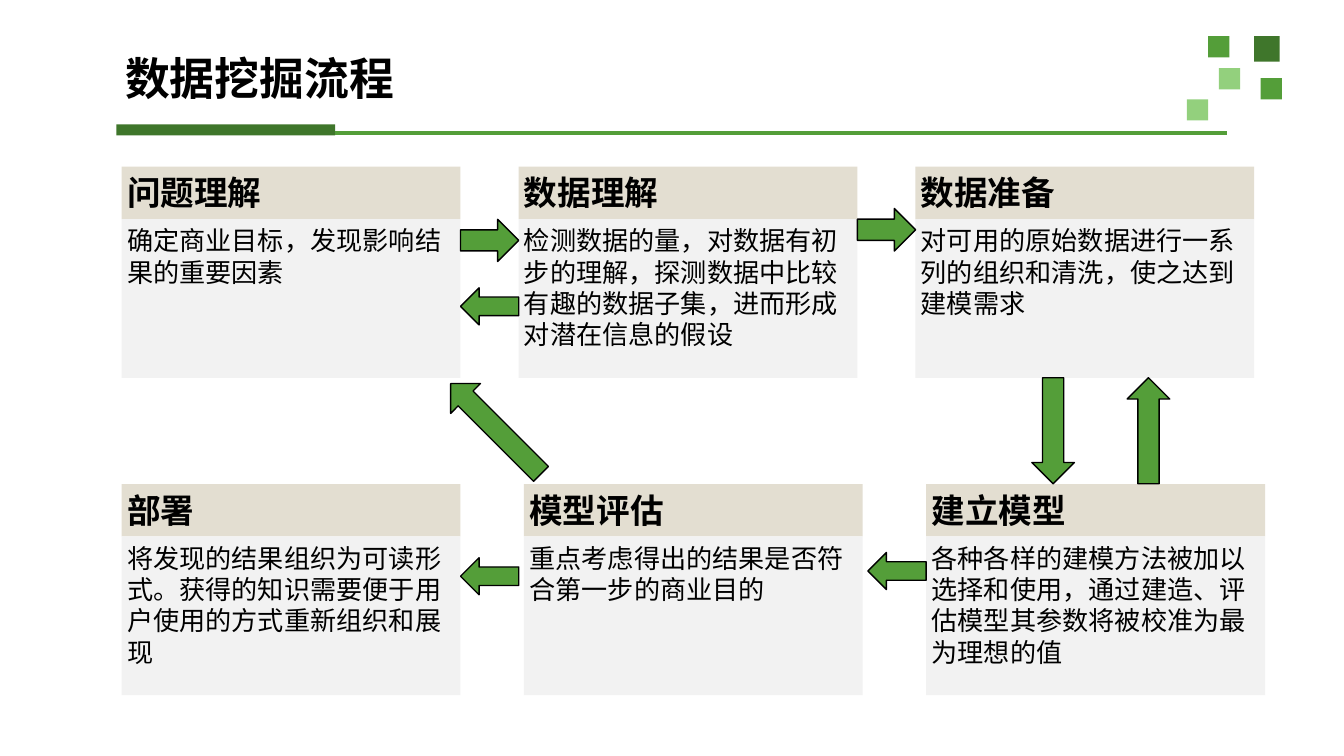
"""Build the data mining process slide: six step cards linked by block arrows."""
from dataclasses import dataclass

from lxml.etree import SubElement
from pptx import Presentation
from pptx.dml.color import RGBColor
from pptx.enum.shapes import MSO_CONNECTOR, MSO_SHAPE
from pptx.enum.text import MSO_ANCHOR, PP_ALIGN
from pptx.oxml.ns import qn
from pptx.shapes.autoshape import Shape
from pptx.slide import Slide
from pptx.util import Pt

COLOURS = {
    "dark": "3F762B",
    "green": "549E39",
    "light": "93D07D",
    "header": "E3DED1",
    "body": "F2F2F2",
    "ink": "000000",
}
CARD_WIDTH, HEADER_HEIGHT, BODY_HEIGHT = 181.5, 28.1, 85
CARD_INSET = 2.9


@dataclass(frozen=True)
class Frame:
    left: float
    top: float
    width: float
    height: float


@dataclass(frozen=True)
class Square:
    left: float
    top: float
    size: float
    colour: str


@dataclass(frozen=True)
class Step:
    heading: str
    detail: str


@dataclass(frozen=True)
class CardRow:
    top: float
    pitch: float
    steps: tuple[Step, ...]


@dataclass(frozen=True)
class Arrow:
    kind: MSO_SHAPE
    frame: Frame
    rotation: float = 0


SQUARES = (
    Square(671.8, 19.4, 13.7, "dark"),
    Square(647.3, 19.4, 11.4, "green"),
    Square(675.4, 41.9, 11.4, "green"),
    Square(653, 36.5, 11.4, "light"),
    Square(635.9, 53.2, 11.4, "light"),
)
CARD_LEFT = 65.2
ROWS = (
    CardRow(89.3, 212.6, (
        Step("问题理解", "确定商业目标，发现影响结果的重要因素"),
        Step("数据理解", "检测数据的量，对数据有初步的理解，探测数据中比较有趣的数据子集，进而形成对潜在信息的假设"),
        Step("数据准备", "对可用的原始数据进行一系列的组织和清洗，使之达到建模需求"),
    )),
    CardRow(259.3, 215.5, (
        Step("部署", "将发现的结果组织为可读形式。获得的知识需要便于用户使用的方式重新组织和展现"),
        Step("模型评估", "重点考虑得出的结果是否符合第一步的商业目的"),
        Step("建立模型", "各种各样的建模方法被加以选择和使用，通过建造、评估模型其参数将被校准为最为理想的值"),
    )),
)
ARROWS = (
    Arrow(MSO_SHAPE.RIGHT_ARROW, Frame(246.7, 117.5, 31.2, 22.6)),
    Arrow(MSO_SHAPE.LEFT_ARROW, Frame(246.7, 154.2, 31.2, 19.9)),
    Arrow(MSO_SHAPE.RIGHT_ARROW, Frame(459.3, 111.7, 31.2, 22.8)),
    Arrow(MSO_SHAPE.LEFT_ARROW, Frame(464.9, 296, 31.2, 19.9)),
    Arrow(MSO_SHAPE.DOWN_ARROW, Frame(552.8, 202.4, 22.8, 56.8)),
    Arrow(MSO_SHAPE.UP_ARROW, Frame(603.9, 202.4, 22.8, 56.8)),
    Arrow(MSO_SHAPE.LEFT_ARROW, Frame(246.7, 298.8, 31.2, 19.9)),
    Arrow(MSO_SHAPE.LEFT_ARROW, Frame(231.4, 218.4, 68.4, 22.6), 45),
)


def rgb(name: str) -> RGBColor:
    """Return the named colour."""
    return RGBColor.from_string(COLOURS[name])


def lengths(frame: Frame) -> tuple[Pt, Pt, Pt, Pt]:
    """Return the frame as lengths."""
    return Pt(frame.left), Pt(frame.top), Pt(frame.width), Pt(frame.height)


def add_block(page: Slide, kind: MSO_SHAPE, frame: Frame, colour: str) -> Shape:
    """Add a flat filled shape without an outline."""
    block = page.shapes.add_shape(kind, *lengths(frame))
    block.shadow.inherit = False
    block.fill.solid()
    block.fill.fore_color.rgb = rgb(colour)
    block.line.fill.background()
    return block


def write(box: Shape, text: str, size: float, font: str, bold: bool,
          anchor: MSO_ANCHOR, inset_x: float, inset_y: float) -> None:
    """Put one left-aligned paragraph in the box."""
    frame = box.text_frame
    frame.word_wrap = True
    frame.vertical_anchor = anchor
    frame.margin_left = frame.margin_right = Pt(inset_x)
    frame.margin_top = frame.margin_bottom = Pt(inset_y)
    para = frame.paragraphs[0]
    para.text = text
    para.alignment = PP_ALIGN.LEFT
    para.font.size = Pt(size)
    para.font.name = font
    para.font.bold = bold
    para.font.color.rgb = rgb("ink")


def add_heading(page: Slide) -> None:
    """Add the corner squares, the rule and the title."""
    for square in SQUARES:
        frame = Frame(square.left, square.top, square.size, square.size)
        add_block(page, MSO_SHAPE.RECTANGLE, frame, square.colour)
    add_block(page, MSO_SHAPE.RECTANGLE, Frame(62.4, 66.7, 117.2, 5.9), "dark")
    rule = page.shapes.add_connector(
        MSO_CONNECTOR.STRAIGHT, Pt(179.5), Pt(71.1), Pt(657.6), Pt(71.1))
    rule.line.color.rgb = rgb("green")
    rule.line.width = Pt(2)
    SubElement(rule.line._get_or_add_ln().getparent(), qn("a:effectLst"))
    title = page.shapes.add_textbox(*lengths(Frame(61.2, 18.7, 609.1, 49.7)))
    write(title, "数据挖掘流程", 24, "Noto Sans CJK SC", True, MSO_ANCHOR.MIDDLE, 5.8, 2.9)
    title.text_frame.paragraphs[0].line_spacing = 0.9


def add_card(page: Slide, left: float, top: float, step: Step) -> None:
    """Add a header band with its description below."""
    parts = (
        (Frame(left, top, CARD_WIDTH, HEADER_HEIGHT), "header", step.heading, 18, True),
        (Frame(left, top + HEADER_HEIGHT, CARD_WIDTH, BODY_HEIGHT), "body", step.detail, 14, False),
    )
    for frame, colour, text, size, bold in parts:
        box = add_block(page, MSO_SHAPE.RECTANGLE, frame, colour)
        write(box, text, size, "Arial", bold, MSO_ANCHOR.TOP, CARD_INSET, CARD_INSET)


def add_arrow(page: Slide, arrow: Arrow) -> None:
    """Add an outlined block arrow."""
    block = add_block(page, arrow.kind, arrow.frame, "green")
    block.line.color.rgb = rgb("ink")
    block.line.width = Pt(0.75)
    block.rotation = arrow.rotation


def main() -> None:
    """Build and save the deck."""
    deck = Presentation()
    deck.slide_width, deck.slide_height = Pt(720), Pt(405)
    page = deck.slides.add_slide(deck.slide_layouts[6])
    add_heading(page)
    for row in ROWS:
        for column, step in enumerate(row.steps):
            add_card(page, CARD_LEFT + column * row.pitch, row.top, step)
    for arrow in ARROWS:
        add_arrow(page, arrow)
    deck.save("out.pptx")


if __name__ == "__main__":
    main()
